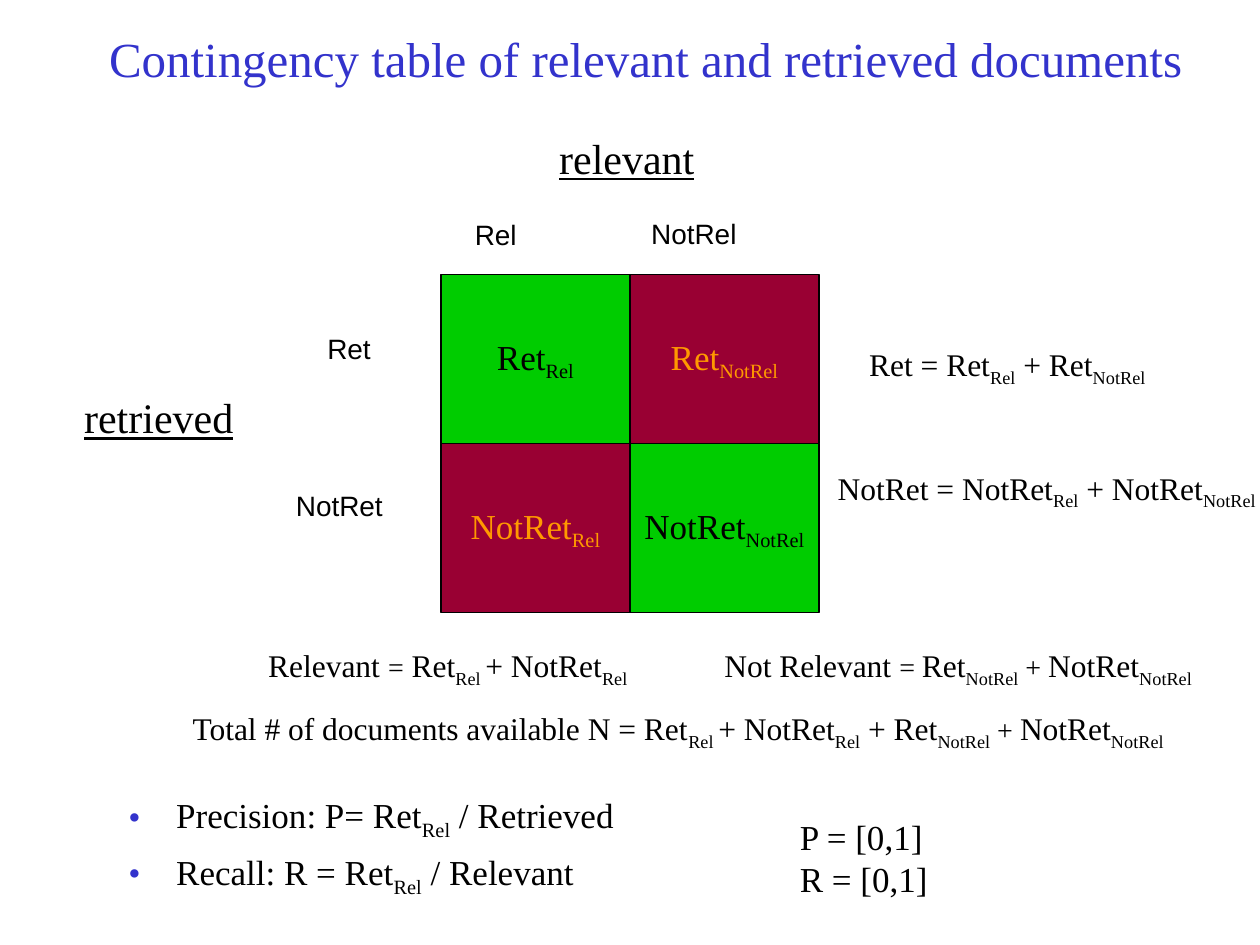
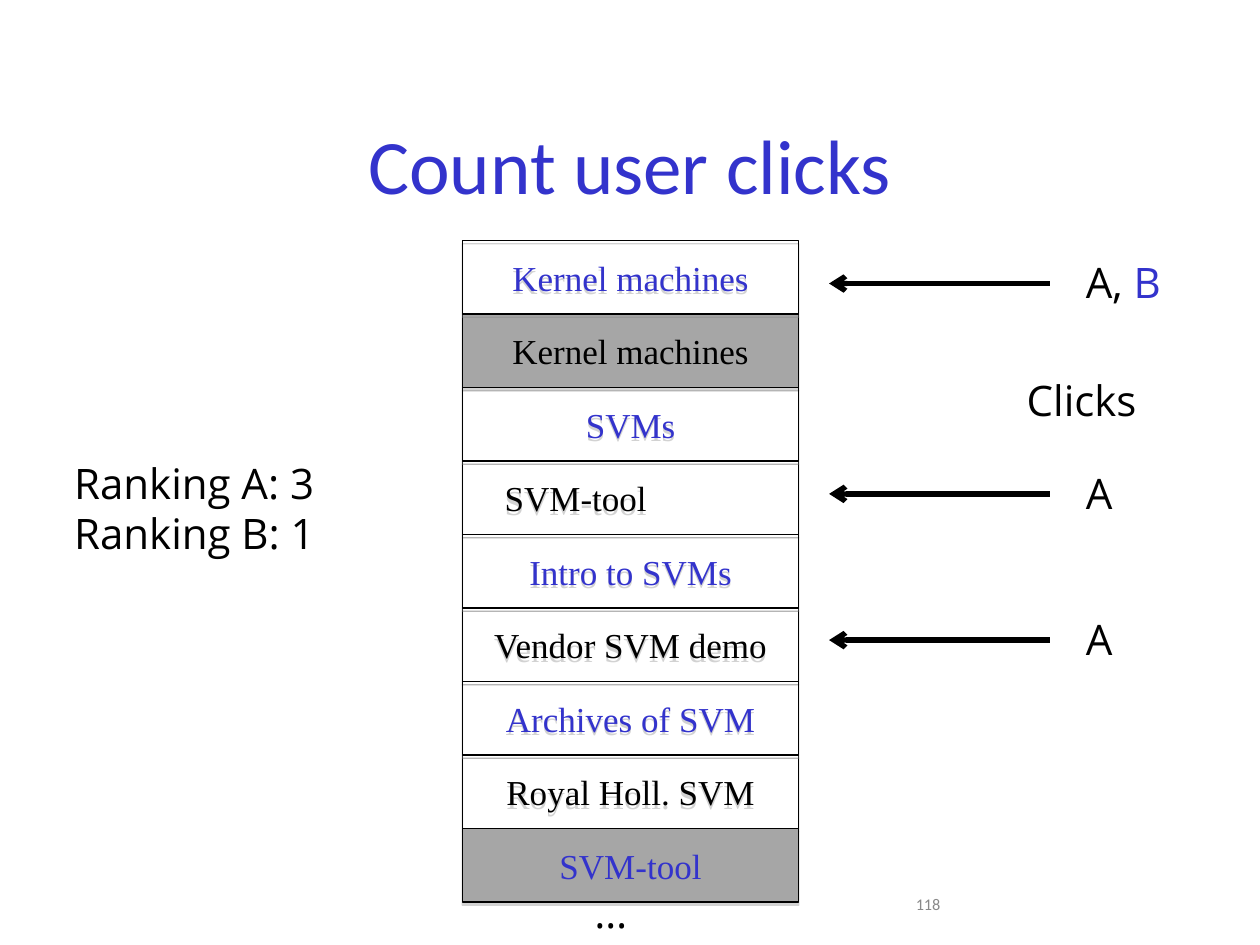
from pptx import Presentation
from pptx.dml.color import RGBColor
from pptx.enum.shapes import MSO_CONNECTOR, MSO_SHAPE
from pptx.enum.text import MSO_ANCHOR, MSO_AUTO_SIZE, PP_ALIGN
from pptx.oxml import parse_xml
from pptx.oxml.ns import nsdecls, qn
from pptx.util import Inches, Pt

BLACK = RGBColor(0x00, 0x00, 0x00)
BLUE = RGBColor(0x33, 0x33, 0xCC)
GREEN = RGBColor(0x00, 0xCC, 0x00)
MAROON = RGBColor(0x99, 0x00, 0x33)
ORANGE = RGBColor(0xFF, 0x99, 0x00)
GRAY = RGBColor(0xA6, 0xA6, 0xA6)
PALE = RGBColor(0x89, 0x89, 0x89)

SERIF, SANS, OPEN, CALIBRI = "Times New Roman", "Arial", "Open Sans", "Calibri"

# Between bars stands a subscript, between carets a smaller sign.
CELLS = [["Ret|Rel", "Ret|NotRel"], ["NotRet|Rel", "NotRet|NotRel"]]
HEADS = [  # left, top, width, text
    (5.07, 1.67, 0.88, "NotRel"),
    (3.67, 1.68, 0.53, "Rel"),
    (2.5, 2.58, 0.56, "Ret"),
    (2.25, 3.83, 0.89, "NotRet"),
]
AXES = [(0.57, 3.06, 1.4, "retrieved"), (4.34, 1, 1.27, "relevant")]
SUMS = [
    (6.8, 2.69, 2.46, "Ret = Ret|Rel| + Ret|NotRel"),
    (6.55, 3.67, 3.52, "NotRet = NotRet|Rel| + NotRet|NotRel"),
    (2.03, 5.08, 3.05, "Relevant ^=^ Ret|Rel |+ NotRet|Rel"),
    (5.65, 5.08, 3.91,
     "Not Relevant ^= ^Ret|NotRel|^ + ^NotRet|NotRel"),
    (1.43, 5.58, 7.93,
     "Total # of documents available N = Ret|Rel |+ NotRet|Rel"
     "| + Ret|NotRel|^ + ^NotRet|NotRel"),
]
SCORES = ["Precision: P= Ret|Rel| / Retrieved",
          "Recall: R = Ret|Rel| / Relevant"]
RANGES = ["P = [0,1]", "R = [0,1]"]

RESULTS = ["Kernel machines", "Kernel machines", "SVMs", "SVM-tool\t",
           "Intro to SVMs", "Vendor SVM demo", "Archives of SVM",
           "Royal Holl. SVM", "SVM-tool"]
REPEATS = (1, 8)
CLICKS = [(2.25, "A, ", "B"), (3.92, "A", ""), (5.08, "A", "")]
TALLY = ["Ranking A: 3", "Ranking B: 1"]


def style(run, size, font, color):
    run.font.size = Pt(size)
    run.font.name = font
    run.font.color.rgb = color


def fill_para(para, text, size, font, color):
    """Write marked-up text as plain, small and subscript runs."""
    for i, part in enumerate(text.split("|")):
        for j, piece in enumerate(part.split("^")):
            if not piece:
                continue
            run = para.add_run()
            run.text = piece
            style(run, size - 2 * (j % 2), font, color)
            if i % 2:
                run.font._element.set("baseline", "-25000")


def write(frame, lines, size, font, color=BLACK, align=PP_ALIGN.LEFT):
    for i, line in enumerate(lines):
        para = frame.add_paragraph() if i else frame.paragraphs[0]
        para.alignment = align
        if "\t" in line:
            add_tab(para, 2)
        fill_para(para, line, size, font, color)


def add_tab(para, stop):
    para._p.get_or_add_pPr().append(parse_xml(
        f'<a:tabLst {nsdecls("a")}><a:tab pos="{Inches(stop)}" algn="l"/>'
        '</a:tabLst>'))


def add_text(slide, at, lines, size, font, color=BLACK, wrap=False,
             align=PP_ALIGN.LEFT):
    frame = slide.shapes.add_textbox(*map(Inches, at)).text_frame
    frame.word_wrap = wrap
    if not wrap:
        frame.auto_size = MSO_AUTO_SIZE.SHAPE_TO_FIT_TEXT
    write(frame, lines, size, font, color, align)
    return frame


def add_title(slide, at, text, size, font):
    frame = add_text(slide, at, [text], size, font, BLUE, True,
                     PP_ALIGN.CENTER)
    frame.vertical_anchor = MSO_ANCHOR.MIDDLE


def add_cell(slide, at, text, fill, color, wrap):
    cell = slide.shapes.add_shape(MSO_SHAPE.RECTANGLE, *map(Inches, at))
    cell.shadow.inherit = False
    if fill is None:
        cell.fill.background()
    else:
        cell.fill.solid()
        cell.fill.fore_color.rgb = fill
    cell.line.color.rgb = BLACK
    cell.line.width = Pt(0.75)
    frame = cell.text_frame
    frame.word_wrap = wrap
    frame.vertical_anchor = MSO_ANCHOR.MIDDLE
    write(frame, [text], 20, SERIF, color, PP_ALIGN.CENTER)
    return cell


def add_shadow(shape):
    effects = shape._element.spPr.find(qn("a:effectLst"))
    effects.append(parse_xml(
        f'<a:outerShdw {nsdecls("a")} dist="22860" dir="5400000" '
        'rotWithShape="0"><a:srgbClr val="808080"><a:alpha val="35000"/>'
        '</a:srgbClr></a:outerShdw>'))


def add_bullet(para):
    props = para._p.get_or_add_pPr()
    props.set("marL", str(Inches(0.38)))
    props.set("indent", str(-Inches(0.38)))
    color = f'<a:buClr {nsdecls("a")}><a:srgbClr val="{BLUE}"/></a:buClr>'
    font = f'<a:buFont {nsdecls("a")} typeface="{SERIF}"/>'
    mark = f'<a:buChar {nsdecls("a")} char="•"/>'
    for xml in (color, font, mark):
        props.append(parse_xml(xml))


def add_arrow(slide, start, end, y):
    arrow = slide.shapes.add_connector(
        MSO_CONNECTOR.STRAIGHT, *map(Inches, (start, y, end, y)))
    arrow.line.color.rgb = BLACK
    arrow.line.width = Pt(3)
    arrow.line._get_or_add_ln().append(
        parse_xml(f'<a:tailEnd {nsdecls("a")} type="arrow"/>'))
    arrow._element.spPr.append(
        parse_xml(f'<a:effectLst {nsdecls("a")}/>'))


def build_table(slide):
    add_title(slide, (0.75, 0, 8.75, 0.92),
              "Contingency table of relevant and retrieved documents",
              28, SERIF)
    scores = add_text(slide, (0.92, 6.25, 6.67, 1.08), SCORES, 20, SERIF,
                      wrap=True)
    for para in scores.paragraphs:
        add_bullet(para)
    scores.paragraphs[1].space_before = Pt(5)

    wide, high = 1.5, 1.34
    for r, row in enumerate(CELLS):
        for c, text in enumerate(row):
            fill, color = (GREEN, BLACK) if r == c else (MAROON, ORANGE)
            at = (3.5 + c * wide, 2.18 + r * high, wide, high)
            add_cell(slide, at, text, fill, color, False)

    for x, y, w, text in SUMS:
        add_text(slide, (x, y, w, 0.44), [text], 18, SERIF)
    for x, y, w, text in HEADS:
        add_text(slide, (x, y, w, 0.37), [text], 16, SANS)
    for x, y, w, text in AXES:
        axis = add_text(slide, (x, y, w, 0.5), [text], 24, SERIF)
        axis.paragraphs[0].runs[0].font.underline = True
    add_text(slide, (6.25, 6.42, 1.83, 0.77), RANGES, 20, SERIF, wrap=True)


def build_clicks(slide):
    add_title(slide, (0.75, 0.67, 8.5, 1.25), "Count user clicks",
              44, CALIBRI)
    number = add_text(slide, (7.17, 7.08, 2.33, 0.27), ["118"], 9.3,
                      CALIBRI, PALE, True)
    number.paragraphs[0].line_spacing = 0.8

    # Ranking A (odd rows) lies behind ranking B (even rows).
    count, step = len(RESULTS), 5.25 / 9
    for i in (*range(1, count, 2), *range(0, count, 2)):
        at = (3.67, 1.91 + i * step, 2.67, step)
        fill = GRAY if i in REPEATS else None
        color = BLACK if i % 2 else BLUE
        add_shadow(add_cell(slide, at, RESULTS[i], fill, color, True))

    add_text(slide, (4.62, 6.99, 0.46, 0.5), ["…"], 24, OPEN)
    add_text(slide, (8.05, 2.92, 1.08, 0.5), ["Clicks"], 24, OPEN)
    add_text(slide, (0.49, 3.58, 2.14, 0.9), TALLY, 24, OPEN)
    for y, first, second in CLICKS:
        add_arrow(slide, 8.33, 6.58, y)
        wide = 0.8 if second else 0.41
        label = add_text(slide, (8.52, y - 0.26, wide, 0.5), [first],
                         24, OPEN)
        fill_para(label.paragraphs[0], second, 24, OPEN, BLUE)


def main():
    deck = Presentation()
    deck.slide_width, deck.slide_height = Inches(10), Inches(7.5)
    for build in (build_table, build_clicks):
        build(deck.slides.add_slide(deck.slide_layouts[6]))
    deck.save("out.pptx")


if __name__ == "__main__":
    main()
